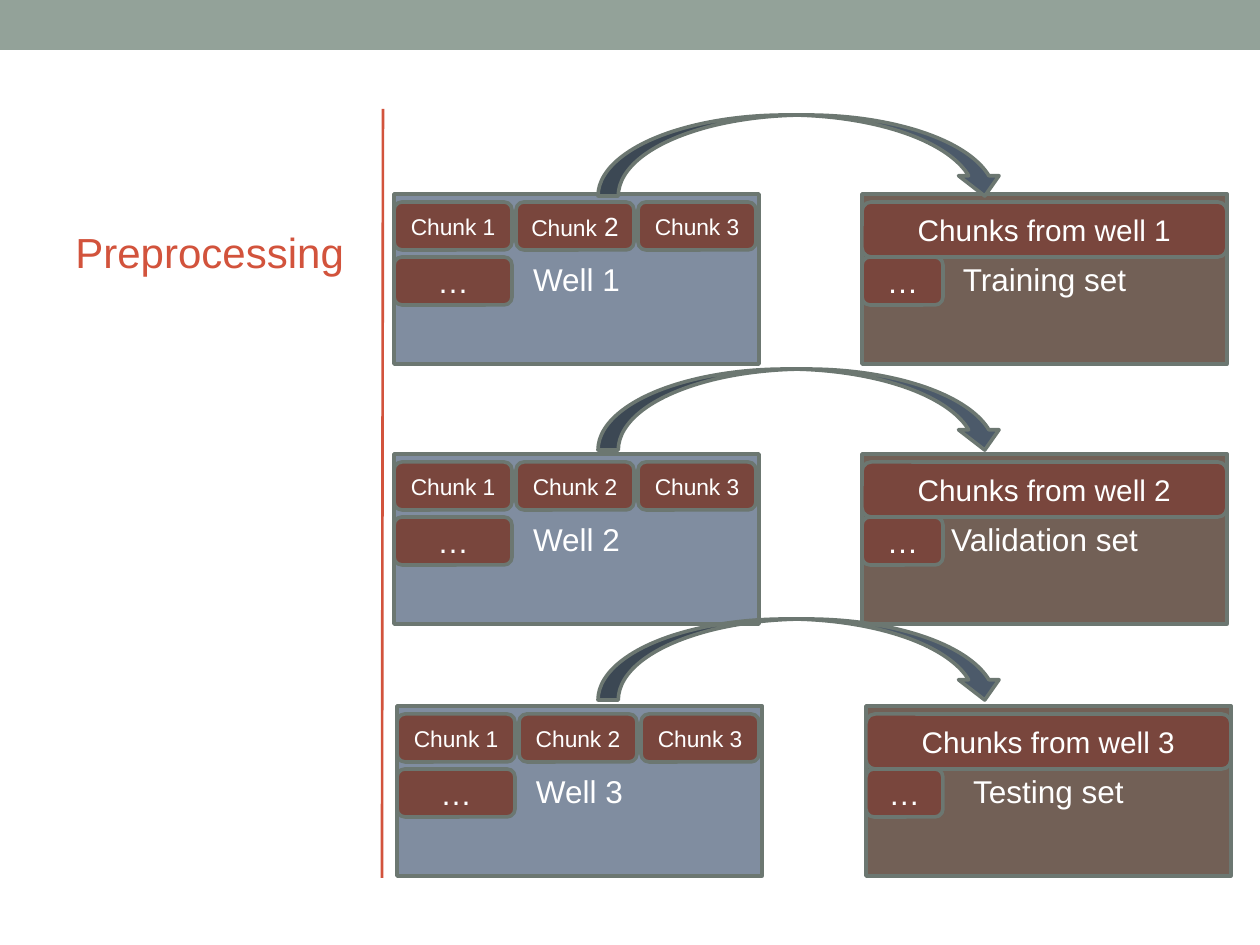
from pptx import Presentation
from pptx.dml.color import RGBColor
from pptx.enum.shapes import MSO_CONNECTOR, MSO_SHAPE
from pptx.enum.text import MSO_ANCHOR, PP_ALIGN
from pptx.oxml.ns import qn
from pptx.util import Emu, Pt
from lxml import etree

RECTANGLE = MSO_SHAPE.RECTANGLE
ROUNDED = MSO_SHAPE.ROUNDED_RECTANGLE
CURVED_ARROW = MSO_SHAPE.CURVED_DOWN_ARROW
STRAIGHT = MSO_CONNECTOR.STRAIGHT
CENTER = PP_ALIGN.CENTER
MIDDLE = MSO_ANCHOR.MIDDLE
BOTTOM = MSO_ANCHOR.BOTTOM

SAGE = RGBColor(0x93, 0xA2, 0x99)
RED = RGBColor(0xD2, 0x53, 0x3C)
BLUE = RGBColor(0x80, 0x8D, 0xA0)
BROWN = RGBColor(0x72, 0x60, 0x56)
RUST = RGBColor(0x79, 0x46, 0x3D)
SLATE = RGBColor(0x4C, 0x5A, 0x6A)
BORDER = RGBColor(0x6C, 0x77, 0x71)
WHITE = RGBColor(0xFF, 0xFF, 0xFF)

FONT = "Arial"
EMU_PER_PX = 914400 / 126
BOX_WIDTH, BOX_HEIGHT = 365, 170
CHUNK_WIDTH, CHUNK_HEIGHT, CHUNK_STEP = 118, 48, 122
CHUNK_TOP, MORE_TOP = 8, 63
ROWS = [
    (394, 862, 194, 115, 81, "Training set"),
    (394, 862, 454, 369, 81, "Validation set"),
    (397, 866, 706, 619, 77, "Testing set"),
]


def px(value):
    return Emu(round(value * EMU_PER_PX))


def add_run(paragraph, text, size, color=WHITE):
    run = paragraph.add_run()
    run.text = text
    run.font.name = FONT
    run.font.size = Pt(size)
    run.font.color.rgb = color


def add_filled_shape(slide, kind, left, top, width, height, fill, border=BORDER):
    shape = slide.shapes.add_shape(kind, px(left), px(top), px(width), px(height))
    shape.shadow.inherit = False
    shape.fill.solid()
    shape.fill.fore_color.rgb = fill
    if border is None:
        shape.line.fill.background()
    else:
        shape.line.color.rgb = border
        shape.line.width = Pt(2.07)
    return shape


def add_label_box(slide, kind, left, top, width, height, fill, *runs):
    shape = add_filled_shape(slide, kind, left, top, width, height, fill)
    frame = shape.text_frame
    frame.word_wrap = True
    frame.vertical_anchor = MIDDLE
    paragraph = frame.paragraphs[0]
    paragraph.alignment = CENTER
    for text, size in runs:
        add_run(paragraph, text, size)


def add_divider(slide):
    line = slide.shapes.add_connector(STRAIGHT, px(383), px(109), px(382), px(878))
    line.line.color.rgb = RED
    line.line.width = Pt(1.5)
    etree.SubElement(line._element.spPr, qn("a:effectLst"))


def add_title(slide):
    box = slide.shapes.add_textbox(px(63), px(109), px(295), px(174))
    frame = box.text_frame
    frame.word_wrap = True
    frame.vertical_anchor = BOTTOM
    add_run(frame.paragraphs[0], "Preprocessing", 24, RED)


def add_well(slide, number, left, top):
    add_label_box(slide, RECTANGLE, left, top, BOX_WIDTH, BOX_HEIGHT, BLUE,
                  (f"Well {number}", 18))
    for index in range(3):
        runs = [(f"Chunk {index + 1}", 13)]
        if number == 1 and index == 1:
            runs = [("Chunk", 13), (" 2", 15)]
        add_label_box(slide, ROUNDED, left + index * CHUNK_STEP, top + CHUNK_TOP,
                      CHUNK_WIDTH, CHUNK_HEIGHT, RUST, *runs)
    add_label_box(slide, ROUNDED, left, top + MORE_TOP, CHUNK_WIDTH, CHUNK_HEIGHT,
                  RUST, ("…", 18))


def add_data_set(slide, number, left, top, name):
    add_label_box(slide, RECTANGLE, left, top, BOX_WIDTH, BOX_HEIGHT, BROWN, (name, 18))
    add_label_box(slide, ROUNDED, left, top + CHUNK_TOP, BOX_WIDTH, 55, RUST,
                  (f"Chunks from well {number}", 17))
    add_label_box(slide, ROUNDED, left, top + MORE_TOP, 943 - left, CHUNK_HEIGHT,
                  RUST, ("…", 18))


def add_arrow(slide, top):
    arrow = add_filled_shape(slide, CURVED_ARROW, 598, top, 407, 81, SLATE)
    for index, value in enumerate((0.25, 0.5, 0.25)):
        arrow.adjustments[index] = value


def main():
    presentation = Presentation()
    presentation.slide_width = px(1260)
    presentation.slide_height = px(945)
    slide = presentation.slides.add_slide(presentation.slide_layouts[6])
    add_filled_shape(slide, RECTANGLE, 0, 0, 1260, 50, SAGE, None)
    add_divider(slide)
    add_title(slide)
    for number, (well_left, _, top, _, _, _) in enumerate(ROWS, 1):
        add_well(slide, number, well_left, top)
    for number, (_, set_left, top, _, _, name) in enumerate(ROWS, 1):
        add_data_set(slide, number, set_left, top, name)
    for _, _, _, arrow_top, _, _ in ROWS:
        add_arrow(slide, arrow_top)
    presentation.save("out.pptx")


if __name__ == "__main__":
    main()
